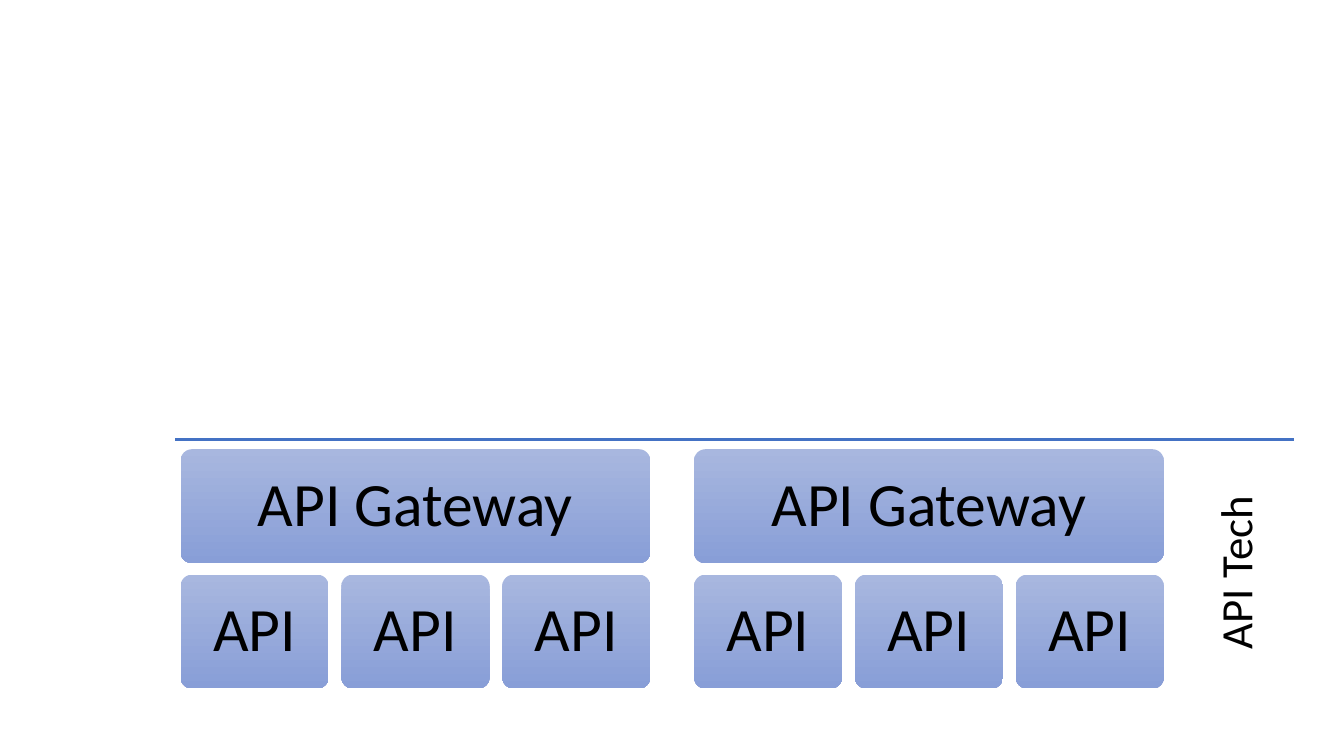
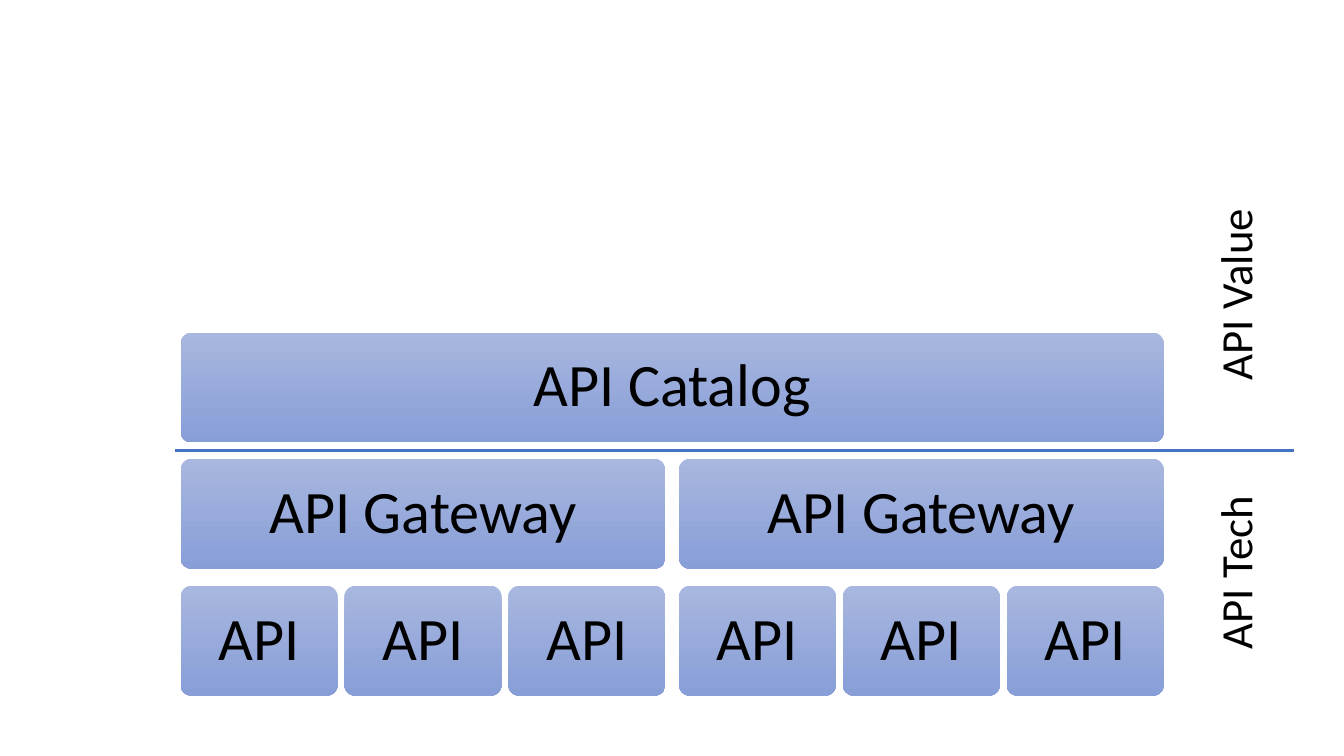
from lxml import etree
from pptx import Presentation
from pptx.dml.color import RGBColor
from pptx.enum.shapes import MSO_CONNECTOR, MSO_SHAPE
from pptx.enum.text import MSO_ANCHOR, MSO_AUTO_SIZE as AUTO_SIZE, PP_ALIGN
from pptx.oxml.ns import qn
from pptx.util import Cm, Pt

BLACK = RGBColor(0x00, 0x00, 0x00)
BLUE = RGBColor(0x44, 0x72, 0xC4)
BLOCK_TOP = RGBColor(0xA8, 0xB7, 0xDF)
BLOCK_BOTTOM = RGBColor(0x88, 0x9E, 0xD7)

LEFT, WIDTH = 4.55, 24.78
LABEL_CENTER, LABEL_HEIGHT = 31.11, 1.62


def write(frame, text, size, font="Calibri", color=BLACK, spacing=None, wrap=True):
    frame.word_wrap = wrap
    frame.vertical_anchor = MSO_ANCHOR.MIDDLE
    paragraph = frame.paragraphs[0]
    paragraph.alignment = PP_ALIGN.CENTER
    paragraph.line_spacing = spacing
    run = paragraph.add_run()
    run.text = text
    run.font.name, run.font.size = font, Pt(size)
    run.font.color.rgb = color


class LayerDiagram:
    """Draws layers of API blocks on the current slide."""

    def __init__(self, prs):
        self.prs = prs

    def new_slide(self, block_height, text_size):
        self.slide = self.prs.slides.add_slide(self.prs.slide_layouts[6])
        self.block_height, self.text_size = block_height, text_size

    def block(self, text, left, top, width):
        block = self.slide.shapes.add_shape(
            MSO_SHAPE.ROUNDED_RECTANGLE, Cm(left), Cm(top), Cm(width), Cm(self.block_height))
        block.adjustments[0] = 0.1
        block.shadow.inherit = False
        block.line.fill.background()
        block.fill.gradient()
        block.fill.gradient_angle = 270
        for stop, color in zip(block.fill.gradient_stops, (BLOCK_TOP, BLOCK_BOTTOM)):
            stop.color.rgb = color
        frame = block.text_frame
        frame.margin_left = frame.margin_right = Cm(0.46)
        frame.margin_top = frame.margin_bottom = Cm(0.46)
        write(frame, text, self.text_size, spacing=0.9)

    def row(self, text, count, left, top, width, gap):
        block_width = (width - (count - 1) * gap) / count
        lefts = [left + i * (block_width + gap) for i in range(count)]
        for block_left in lefts:
            self.block(text, block_left, top, block_width)
        return lefts, block_width

    def gateways(self, gateway_top, api_top, gateway_gap, api_gap):
        lefts, width = self.row("API Gateway", 2, LEFT, gateway_top, WIDTH, gateway_gap)
        for left in lefts:
            self.row("API", 3, left, api_top, width, api_gap)

    def divider(self, top):
        divider = self.slide.shapes.add_connector(
            MSO_CONNECTOR.STRAIGHT, Cm(4.42), Cm(top), Cm(32.61), Cm(top))
        divider.line.color.rgb = BLUE
        divider.line.width = Pt(2.25)
        etree.SubElement(divider._element.spPr, qn("a:effectLst"))

    def side_label(self, text, middle, width):
        label = self.slide.shapes.add_textbox(
            Cm(LABEL_CENTER - width / 2), Cm(middle - LABEL_HEIGHT / 2),
            Cm(width), Cm(LABEL_HEIGHT))
        label.rotation = 270
        write(label.text_frame, text, 32, wrap=False)
        label.text_frame.auto_size = AUTO_SIZE.SHAPE_TO_FIT_TEXT

    def tech_label(self):
        self.side_label("API Tech", middle=14.43, width=4.42)


def main():
    prs = Presentation()
    prs.slide_width, prs.slide_height = Cm(33.87), Cm(19.05)
    diagram = LayerDiagram(prs)

    diagram.new_slide(block_height=2.87, text_size=44)
    diagram.gateways(gateway_top=11.32, api_top=14.48, gateway_gap=1.1, api_gap=0.32)
    diagram.divider(11.07)
    diagram.tech_label()

    diagram.new_slide(block_height=2.77, text_size=43)
    diagram.block("API Catalog", LEFT, 8.38, WIDTH)
    diagram.gateways(gateway_top=11.56, api_top=14.76, gateway_gap=0.34, api_gap=0.17)
    diagram.divider(11.35)
    diagram.tech_label()
    diagram.side_label("API Value", middle=7.42, width=4.88)

    prs.save("out.pptx")


if __name__ == "__main__":
    main()
